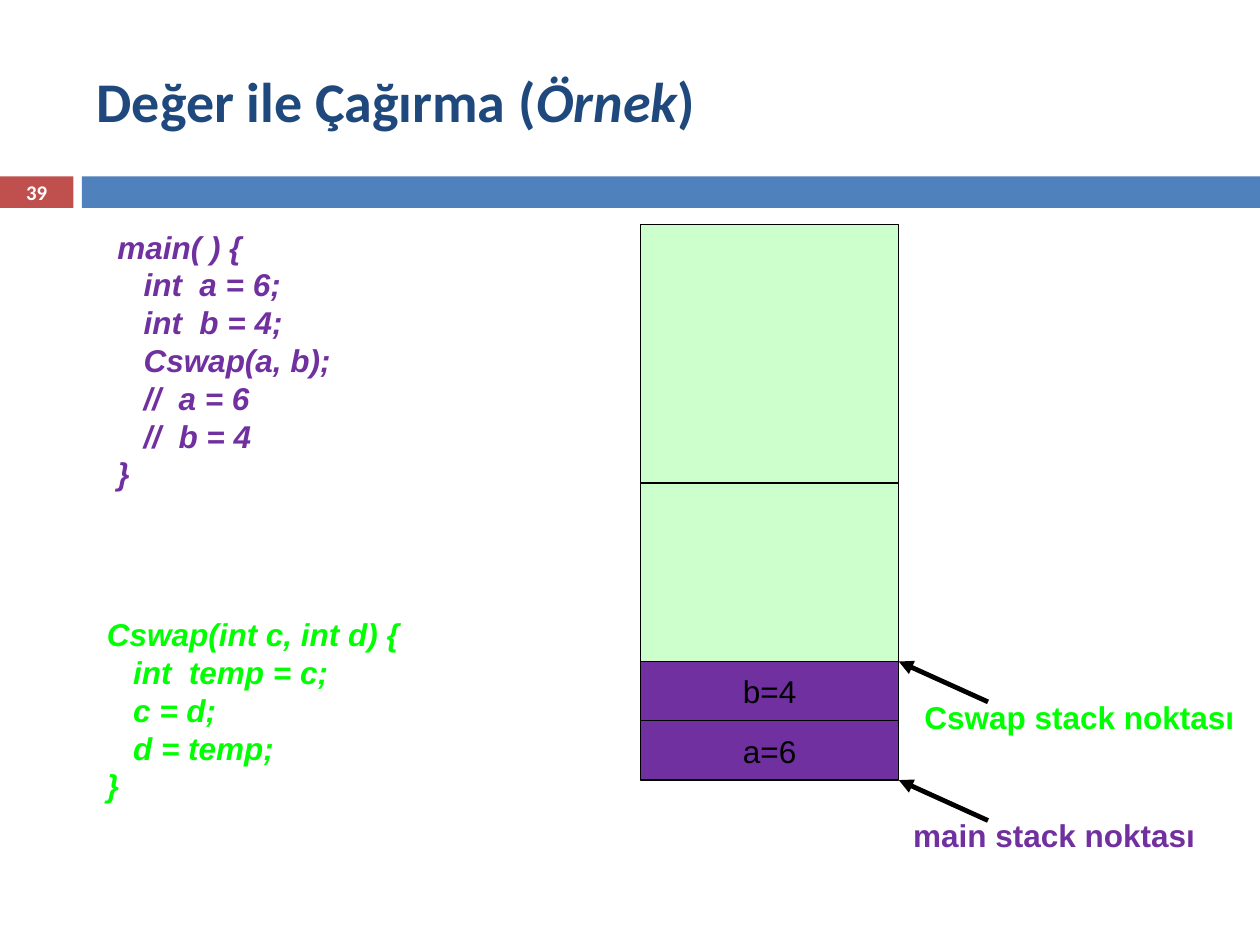
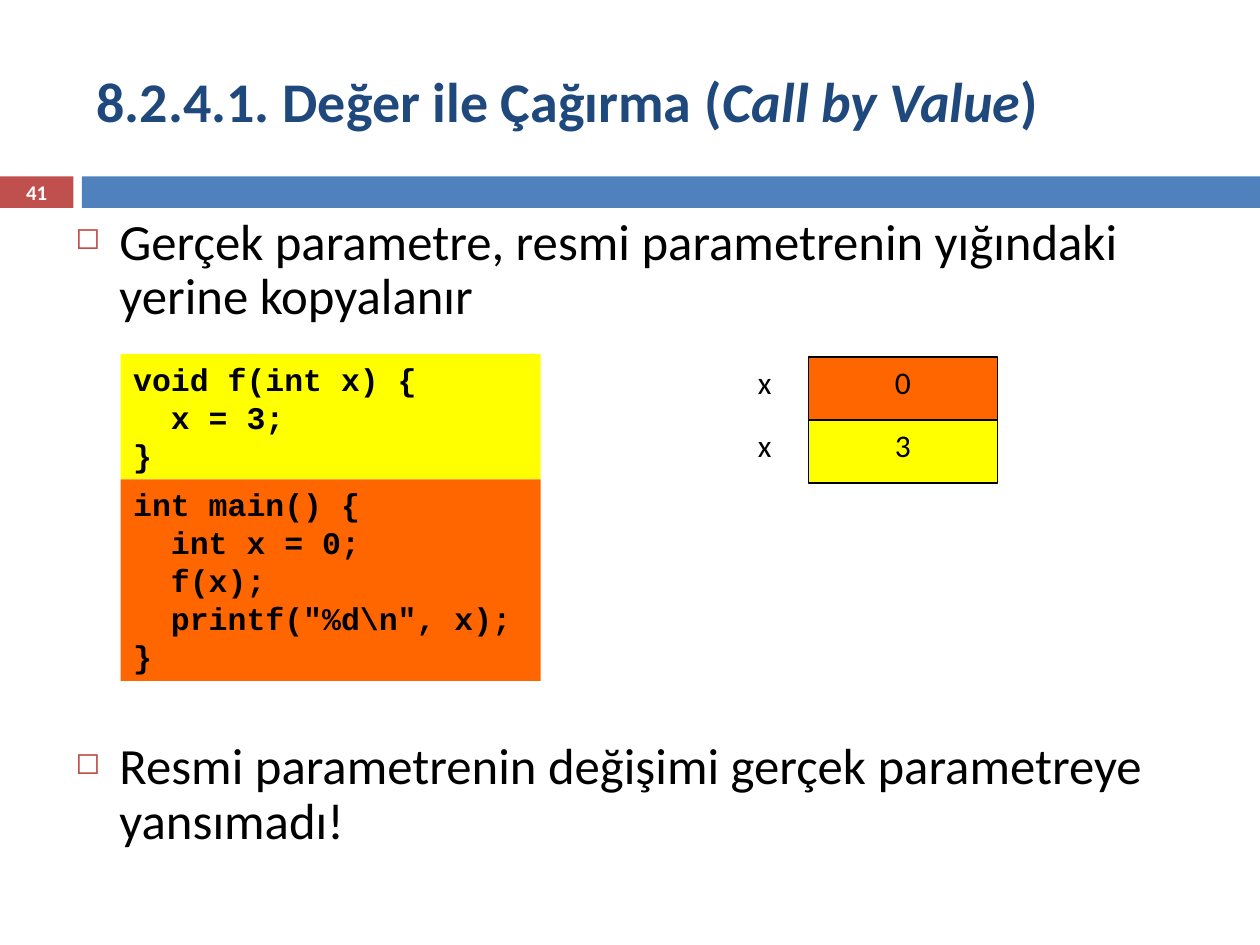
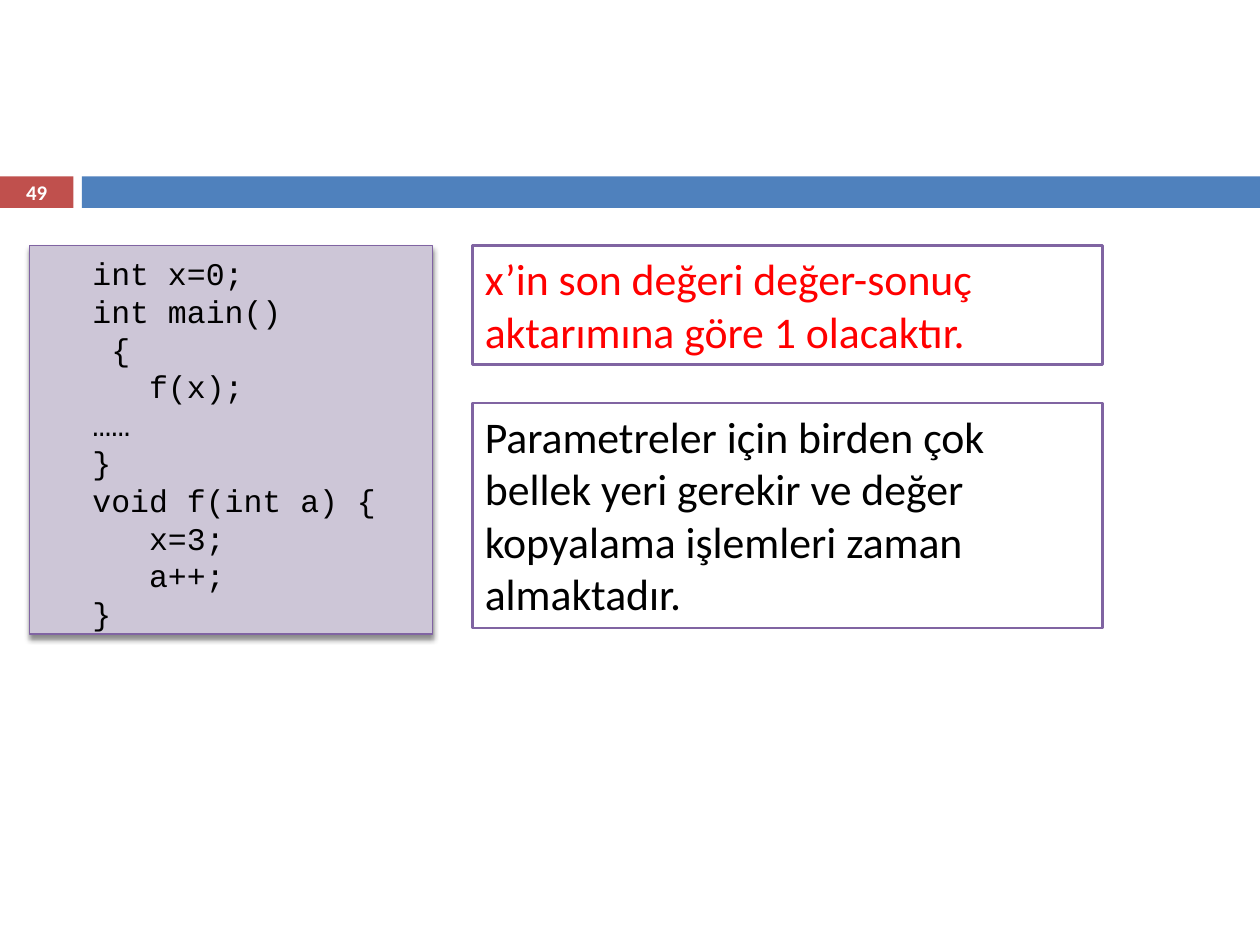
import lxml.etree
import pptx
import pptx.dml.color
import pptx.enum.shapes
import pptx.enum.text
import pptx.oxml.ns
import pptx.util

COLUMNS, ROWS = 120, 90
SLIDE_WIDTH, SLIDE_HEIGHT = pptx.util.Inches(10), pptx.util.Inches(7.5)
TITLE_ONLY, BLANK = 5, 6

BLACK, WHITE = "000000", "FFFFFF"
RED, BLUE, NAVY = "C0504D", "4F81BD", "1F497D"
PURPLE, GREEN, PALE_GREEN = "7030A0", "00FF00", "CCFFCC"
ORANGE, YELLOW = "FF6600", "FFFF00"
VIOLET, PALE_VIOLET = "8064A2", "CDC6D7"

ANCHOR = pptx.enum.text.MSO_ANCHOR
ALIGN = pptx.enum.text.PP_ALIGN

TITLE_FONT = {"name": "Calibri", "size": 32, "bold": True, "color": NAVY}
NUMBER_FONT = {"name": "Calibri", "size": 11.9, "bold": True, "color": WHITE}
STACK_FONT = {"name": "Arial", "size": 18, "color": BLACK}
LABEL_FONT = {"name": "Arial", "size": 18, "bold": True}
LISTING_FONT = LABEL_FONT | {"italic": True}
CODE_FONT = {"name": "Courier New", "size": 18, "color": BLACK}
VALUE_FONT = {"name": "Calibri", "size": 18, "color": BLACK}
BULLET_FONT = {"name": "Calibri", "size": 29, "color": BLACK}
NOTE_FONT = {"name": "Calibri", "size": 25}

MAIN_LISTING = """main( ) {
   int  a = 6;
   int  b = 4;
   Cswap(a, b);
   //  a = 6
   //  b = 4
}"""
SWAP_LISTING = """Cswap(int c, int d) {
   int  temp = c;
   c = d;
   d = temp;
}"""
VALUE_FUNCTION = """void f(int x) {
  x = 3;
}"""
VALUE_MAIN = """int main() {
  int x = 0;
  f(x);
  printf("%d\\n", x);
}"""
RESULT_CODE = """int x=0;
int main()
 {
   f(x);
……
}
void f(int a) {
   x=3;
   a++;
}"""


def rgb(color):
    """Turn a hex string into a colour."""
    return pptx.dml.color.RGBColor.from_string(color)


def across(columns):
    """Turn grid columns into a length."""
    return round(SLIDE_WIDTH * columns / COLUMNS)


def down(rows):
    """Turn grid rows into a length."""
    return round(SLIDE_HEIGHT * rows / ROWS)


def place(left, top, width, height):
    """Turn a grid area into left, top, width and height."""
    return across(left), down(top), across(width), down(height)


def add_element(parent, tag, **attributes):
    """Append a drawing element to a parent element."""
    return lxml.etree.SubElement(parent, pptx.oxml.ns.qn(tag), attributes)


def apply_values(target, values):
    """Set every attribute named in a dict."""
    for name, value in values.items():
        setattr(target, name, value)


def format_font(font, values):
    """Apply a font dict, with its colour and point size."""
    for name, value in values.items():
        if name == "color":
            font.color.rgb = rgb(value)
        else:
            setattr(font, name, pptx.util.Pt(value) if name == "size" else value)


def write(shape, text, font, align=ALIGN.LEFT, **frame_values):
    """Write one paragraph for each line of the text."""
    frame = shape.text_frame
    apply_values(frame, {"word_wrap": True, "vertical_anchor": ANCHOR.TOP} | frame_values)
    for index, line in enumerate(text.split("\n")):
        paragraph = frame.add_paragraph() if index else frame.paragraphs[0]
        paragraph.alignment = align
        run = paragraph.add_run()
        run.text = line
        format_font(run.font, font)


def add_box(slide, area, fill, line=None, line_width=0.75):
    """Add a filled rectangle, outlined when a line colour is given."""
    shape = slide.shapes.add_shape(pptx.enum.shapes.MSO_SHAPE.RECTANGLE, *place(*area))
    shape.fill.solid()
    shape.fill.fore_color.rgb = rgb(fill)
    if line:
        shape.line.color.rgb = rgb(line)
        shape.line.width = pptx.util.Pt(line_width)
    else:
        shape.line.fill.background()
    shape.shadow.inherit = False
    return shape


def add_text(slide, area, text, font, align=ALIGN.LEFT, **frame_values):
    """Add a text box."""
    write(slide.shapes.add_textbox(*place(*area)), text, font, align, **frame_values)


def add_shadow(shape):
    """Give a shape a soft shadow below it."""
    effects = shape._element.spPr.find(pptx.oxml.ns.qn("a:effectLst"))
    shadow = add_element(effects, "a:outerShdw", blurRad="38100", dist="30480",
                         dir="5400000", rotWithShape="0")
    color = add_element(shadow, "a:srgbClr", val=BLACK)
    add_element(color, "a:alpha", val="45000")


def add_arrow(slide, start, end):
    """Add a black arrow between two grid points."""
    connector = slide.shapes.add_connector(
        pptx.enum.shapes.MSO_CONNECTOR.STRAIGHT,
        across(start[0]), down(start[1]), across(end[0]), down(end[1]))
    connector.line.color.rgb = rgb(BLACK)
    connector.line.width = pptx.util.Pt(2.75)
    add_element(connector.line._get_or_add_ln(), "a:tailEnd", type="triangle")
    add_element(connector._element.spPr, "a:effectLst")


def add_bullets(slide, area, texts, gap):
    """Add square-bulleted paragraphs parted by a gap in points."""
    frame = slide.shapes.add_textbox(*place(*area)).text_frame
    frame.word_wrap = True
    for index, text in enumerate(texts):
        paragraph = frame.add_paragraph() if index else frame.paragraphs[0]
        apply_values(paragraph, {"line_spacing": 0.9,
                                 "space_before": pptx.util.Pt(gap if index else 0)})
        properties = paragraph._p.get_or_add_pPr()
        indent = across(4.2)
        properties.set("marL", str(indent))
        properties.set("indent", str(-indent))
        add_element(add_element(properties, "a:buClr"), "a:srgbClr", val=RED)
        add_element(properties, "a:buSzPct", val="60000")
        add_element(properties, "a:buChar", char="◻")
        run = paragraph.add_run()
        run.text = text
        format_font(run.font, BULLET_FONT)


def add_title(slide, before, emphasis, after):
    """Fill the title, with its emphasis in italics."""
    title = slide.shapes.title
    apply_values(title, dict(zip(("left", "top", "width", "height"), place(8, 3, 107, 13))))
    frame = title.text_frame
    apply_values(frame, {"vertical_anchor": ANCHOR.MIDDLE, "word_wrap": True,
                         "auto_size": pptx.enum.text.MSO_AUTO_SIZE.NONE})
    paragraph = frame.paragraphs[0]
    paragraph.alignment = ALIGN.LEFT
    for text in (before, emphasis, after):
        run = paragraph.add_run()
        run.text = text
        format_font(run.font, TITLE_FONT | {"italic": text == emphasis})


def add_slide(presentation, number, layout=TITLE_ONLY):
    """Add a slide with the numbered red band and the blue band."""
    slide = presentation.slides.add_slide(presentation.slide_layouts[layout])
    number_band = add_box(slide, (0, 16.8, 7, 3), RED)
    write(number_band, str(number), NUMBER_FONT, ALIGN.CENTER, vertical_anchor=ANCHOR.MIDDLE,
          margin_top=0, margin_bottom=0)
    add_box(slide, (7.8, 16.8, COLUMNS - 7.8, 3), BLUE)
    return slide


def add_stack_pointer(slide, tip, label, left, color):
    """Point an arrow and its label at a level of the stack."""
    add_arrow(slide, (94.1, tip + 3.85), (85.6, tip))
    add_text(slide, (left, tip + 2.85, 33.6, 4.8), label, LABEL_FONT | {"color": color},
             ALIGN.CENTER)


def build_stack_slide(presentation):
    """Show the stack while main calls Cswap."""
    slide = add_slide(presentation, 39)
    add_title(slide, "Değer ile Çağırma (", "Örnek", ")")
    levels = (21.4, 46, 63, 68.65, 74.3)
    cells = (("", PALE_GREEN), ("", PALE_GREEN), ("b=4", PURPLE), ("a=6", PURPLE))
    for top, bottom, (text, fill) in zip(levels, levels[1:], cells):
        cell = add_box(slide, (61, top, 24.6, bottom - top), fill, BLACK)
        if text:
            write(cell, text, STACK_FONT, ALIGN.CENTER, vertical_anchor=ANCHOR.MIDDLE)
    add_text(slide, (10, 21.1, 31, 30.2), MAIN_LISTING, LISTING_FONT | {"color": PURPLE})
    add_text(slide, (9, 58, 40.7, 23.4), SWAP_LISTING, LISTING_FONT | {"color": GREEN})
    add_stack_pointer(slide, levels[2], "Cswap stack noktası", 86, GREEN)
    add_stack_pointer(slide, levels[4], "main stack noktası", 83.6, PURPLE)


def build_value_slide(presentation):
    """Show call by value with its code and memory cells."""
    slide = add_slide(presentation, 41)
    add_title(slide, "8.2.4.1. Değer ile Çağırma (", "Call by Value", ")")
    for top, height, fill, code in ((33.7, 11.95, YELLOW, VALUE_FUNCTION),
                                    (45.65, 19.2, ORANGE, VALUE_MAIN)):
        write(add_box(slide, (11.5, top, 40, height), fill), code, CODE_FONT | {"bold": True})
    for row, (value, fill) in enumerate((("0", ORANGE), ("3", YELLOW))):
        top = 34 + 6 * row
        add_text(slide, (71, top, 4.4, 6), "x", VALUE_FONT, word_wrap=False)
        write(add_box(slide, (77, top, 18, 6), fill, BLACK), value, VALUE_FONT, ALIGN.CENTER)
    add_bullets(slide, (6, 20, 107, 65.4),
                ("Gerçek parametre, resmi parametrenin yığındaki yerine kopyalanır",
                 "Resmi parametrenin değişimi gerçek parametreye yansımadı!"), 237)


def build_result_slide(presentation):
    """Show the value-result code and two notes."""
    slide = add_slide(presentation, 49, BLANK)
    code_box = add_box(slide, (2.8, 23.4, 38.4, 37), PALE_VIOLET, VIOLET, 0.79)
    add_shadow(code_box)
    write(code_box, RESULT_CODE, CODE_FONT, vertical_anchor=ANCHOR.MIDDLE,
          margin_left=across(6), margin_bottom=0)
    notes = (
        (23.4, 11.3, "FF0000", "x’in son değeri değer-sonuç aktarımına göre 1 olacaktır."),
        (38.4, 21.4, BLACK, "Parametreler için birden çok bellek yeri gerekir ve değer "
                            "kopyalama işlemleri zaman almaktadır."))
    for top, height, color, text in notes:
        note = add_box(slide, (45, top, 60, height), WHITE, VIOLET, 1.5)
        write(note, text, NOTE_FONT | {"color": color})


def main():
    """Build the three slides and save them."""
    presentation = pptx.Presentation()
    presentation.slide_width, presentation.slide_height = SLIDE_WIDTH, SLIDE_HEIGHT
    build_stack_slide(presentation)
    build_value_slide(presentation)
    build_result_slide(presentation)
    presentation.save("out.pptx")


if __name__ == "__main__":
    main()
